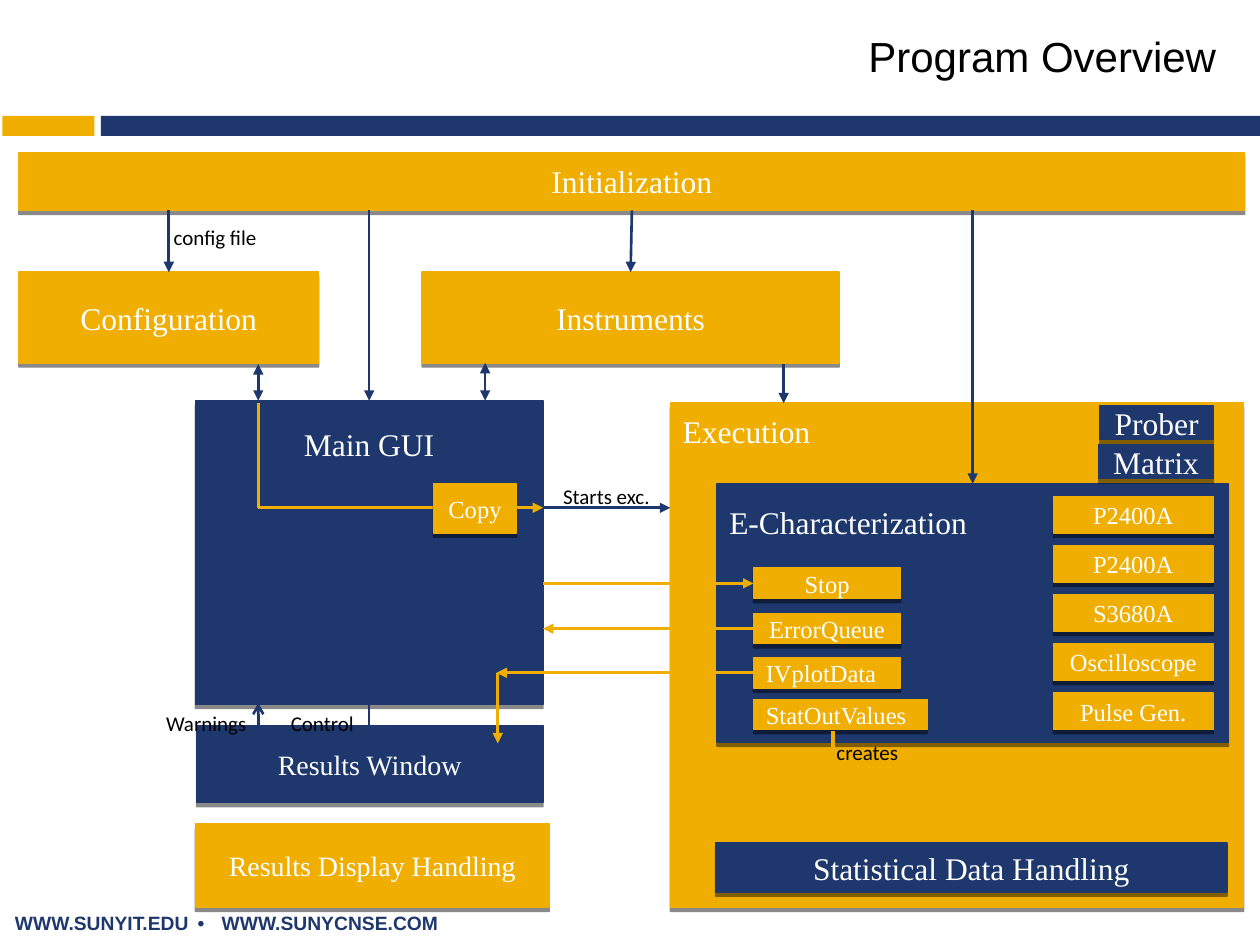
from dataclasses import dataclass

from lxml import etree
from pptx import Presentation
from pptx.dml.color import RGBColor
from pptx.enum.shapes import MSO_CONNECTOR, MSO_SHAPE
from pptx.enum.text import MSO_ANCHOR, PP_ALIGN
from pptx.oxml.ns import qn
from pptx.util import Inches, Pt

RECT = MSO_SHAPE.RECTANGLE
STRAIGHT = MSO_CONNECTOR.STRAIGHT
LEFT, CENTER, RIGHT = PP_ALIGN.LEFT, PP_ALIGN.CENTER, PP_ALIGN.RIGHT
TOP, MIDDLE = MSO_ANCHOR.TOP, MSO_ANCHOR.MIDDLE
SITE_TOP, SITE_LEFT, SITE_BOTTOM = 0, 1, 2


@dataclass(frozen=True)
class Theme:
    gold: RGBColor = RGBColor(0xF0, 0xAF, 0x00)
    navy: RGBColor = RGBColor(0x1E, 0x37, 0x6C)
    white: RGBColor = RGBColor(0xFF, 0xFF, 0xFF)
    black: RGBColor = RGBColor(0x00, 0x00, 0x00)
    box_font: str = "Times New Roman"
    label_font: str = "Calibri"
    page_font: str = "Arial"
    title: int = 24
    heading: int = 18
    result: int = 16
    detail: int = 14
    label: int = 12
    footer: int = 11


theme = Theme()
gold, navy = theme.gold, theme.navy


def write(shape, text, font, size, color, align=LEFT, anchor=TOP, bold=False):
    frame = shape.text_frame
    frame.word_wrap = True
    frame.vertical_anchor = anchor
    paragraph = frame.paragraphs[0]
    paragraph.alignment = align
    run = paragraph.add_run()
    run.text = text
    run.font.name, run.font.size, run.font.bold = font, Pt(size), bold
    run.font.color.rgb = color
    return paragraph


def connect(start, end, color, head=None, tail="triangle", width=1.5):
    """Draw a line; each end is an (x, y) point or a (box name, site) pair."""
    start_joined, end_joined = (isinstance(p[0], str) for p in (start, end))
    x1, y1 = (0, 0) if start_joined else start
    x2, y2 = (0, 0) if end_joined else end
    line = slide.shapes.add_connector(
        STRAIGHT, Inches(x1), Inches(y1), Inches(x2), Inches(y2))
    if start_joined:
        line.begin_connect(boxes[start[0]], start[1])
    if end_joined:
        line.end_connect(boxes[end[0]], end[1])
    line.line.color.rgb = color
    line.line.width = Pt(width)
    outline = line._element.spPr.find(qn("a:ln"))
    for tag, arrow in (("a:headEnd", head), ("a:tailEnd", tail)):
        if arrow:
            etree.SubElement(outline, qn(tag), type=arrow)
    etree.SubElement(line._element.spPr, qn("a:effectLst"))


prs = Presentation()
prs.slide_width, prs.slide_height = Inches(10), Inches(7.5)
slide = prs.slides.add_slide(prs.slide_layouts[6])

# Page frame: footer, band and title
footer = slide.shapes.add_textbox(Inches(0.02), Inches(7.18), Inches(8.92), Inches(0.29))
addresses = write(footer, "WWW.SUNYIT.EDU\t•\tWWW.SUNYCNSE.COM",
                  theme.page_font, theme.footer, navy, bold=True)
tab_list = etree.SubElement(addresses._p.get_or_add_pPr(), qn("a:tabLst"))
for stop in (1.45, 1.64):
    etree.SubElement(tab_list, qn("a:tab"), pos=str(Inches(stop)), algn="l")

for left, width, color in ((0.02, 0.73, gold), (0.8, 9.2, navy)):
    band = slide.shapes.add_shape(RECT, Inches(left), Inches(0.92), Inches(width), Inches(0.16))
    band.shadow.inherit = False
    band.fill.solid()
    band.fill.fore_color.rgb = color
    band.line.fill.background()

title = slide.shapes.add_textbox(Inches(3.65), Inches(0.12), Inches(6.1), Inches(0.65))
write(title, "Program Overview", theme.page_font, theme.title, theme.black, RIGHT, MIDDLE)

# Boxes: text, left, top, width, height, fill, size, alignment, top inset (None: centred)
stages = [
    ("Execution", 5.32, 3.2, 4.55, 4, gold, theme.heading, LEFT, 0.07),
    ("Results Display Handling", 1.55, 6.54, 2.81, 0.66, gold, theme.result, CENTER, None),
    ("Main GUI", 1.55, 3.18, 2.76, 2.41, navy, theme.heading, CENTER, 0.19),
    ("Initialization", 0.15, 1.21, 9.73, 0.46, gold, theme.heading, CENTER, None),
    ("E-Characterization", 5.69, 3.84, 4.06, 2.05, navy, theme.heading, LEFT, 0.15),
    ("Instruments", 3.35, 2.16, 3.31, 0.72, gold, theme.heading, CENTER, None),
    ("Configuration", 0.15, 2.16, 2.38, 0.72, gold, theme.heading, CENTER, None),
    ("Results Window", 1.56, 5.76, 2.75, 0.61, navy, theme.result, CENTER, None),
    ("Statistical Data Handling", 5.68, 6.69, 4.06, 0.39, navy, theme.heading, CENTER, None),
    ("Prober", 8.73, 3.22, 0.9, 0.27, navy, theme.heading, CENTER, None),
    ("Matrix", 8.72, 3.53, 0.91, 0.27, navy, theme.heading, CENTER, None),
]
details = [("Copy", 3.44, 3.84, 0.66, 0.39, gold, theme.detail, CENTER, None)]
for text, top, width, align in (
    ("Stop", 4.51, 1.17, CENTER),
    ("ErrorQueue", 4.87, 1.17, CENTER),
    ("IVplotData", 5.22, 1.17, LEFT),
    ("StatOutValues", 5.55, 1.38, LEFT),
):
    details.append((text, 5.98, top, width, 0.24, gold, theme.detail, align, None))
devices = ("P2400A", "P2400A", "S3680A", "Oscilloscope", "Pulse Gen.")
for row, device in enumerate(devices):
    details.append(
        (device, 8.36, 3.94 + 0.39 * row, 1.27, 0.29, gold, theme.detail, CENTER, None))

boxes = {}
for layer in (stages, details):
    if layer is details:  # this arrow runs behind the Copy box
        connect((2.05, 4.03), (4.31, 4.03), gold)
    for text, left, top, width, height, color, size, align, inset in layer:
        box = slide.shapes.add_shape(
            RECT, Inches(left), Inches(top), Inches(width), Inches(height))
        box.shadow.inherit = False
        box.fill.solid()
        box.fill.fore_color.rgb = color
        box.line.color.rgb = color
        box.line.width = Pt(0.79)
        shadow = etree.SubElement(
            box._element.spPr.find(qn("a:effectLst")), qn("a:outerShdw"),
            blurRad="0", dist=str(Pt(2.4)), dir="5400000", algn="ctr", rotWithShape="0")
        shade = etree.SubElement(shadow, qn("a:srgbClr"), val=str(theme.black))
        etree.SubElement(shade, qn("a:alpha"), val="45000")
        write(box, text, theme.box_font, size, theme.white, align,
              MIDDLE if inset is None else TOP)
        if inset is not None:
            box.text_frame.margin_top = Inches(inset)
        boxes[text] = box

# Start-up flow
connect((2.93, 1.67), ("Main GUI", SITE_TOP), navy)
connect((7.72, 1.67), ("E-Characterization", SITE_TOP), navy)
connect(("Initialization", SITE_BOTTOM), ("Instruments", SITE_TOP), navy)
connect((1.34, 1.67), ("Configuration", SITE_TOP), navy)
connect((3.85, 2.88), (3.85, 3.18), navy, head="triangle")
connect((2.05, 2.89), (2.05, 3.18), navy, head="triangle")
connect((6.22, 2.89), (6.22, 3.2), navy)
connect((4.31, 4.03), (5.32, 4.03), navy)

# Data exchange
connect((2.05, 3.2), (2.05, 4.03), gold, tail=None)
connect((4.31, 4.63), ("Stop", SITE_LEFT), gold)
connect(("ErrorQueue", SITE_LEFT), (4.31, 4.99), gold)
connect(("IVplotData", SITE_LEFT), (3.94, 5.34), gold)
connect((3.95, 5.34), (3.95, 5.9), gold)
connect(("Main GUI", SITE_BOTTOM), (2.93, 5.89), navy, tail="arrow")
connect((2.05, 5.58), (2.05, 5.88), navy, head="arrow", tail=None)
connect((6.61, 5.8), (6.61, 6.19), gold, width=2.25)

for text, left, top, width in (
    ("config file", 1.28, 1.73, 0.87),
    ("Starts exc.", 4.37, 3.79, 1.05),
    ("Control", 2.21, 5.59, 0.93),
    ("Warnings", 1.22, 5.59, 0.93),
    ("creates", 6.54, 5.82, 1.05),
):
    label = slide.shapes.add_textbox(Inches(left), Inches(top), Inches(width), Inches(0.3))
    write(label, text, theme.label_font, theme.label, theme.black)

prs.save("out.pptx")
